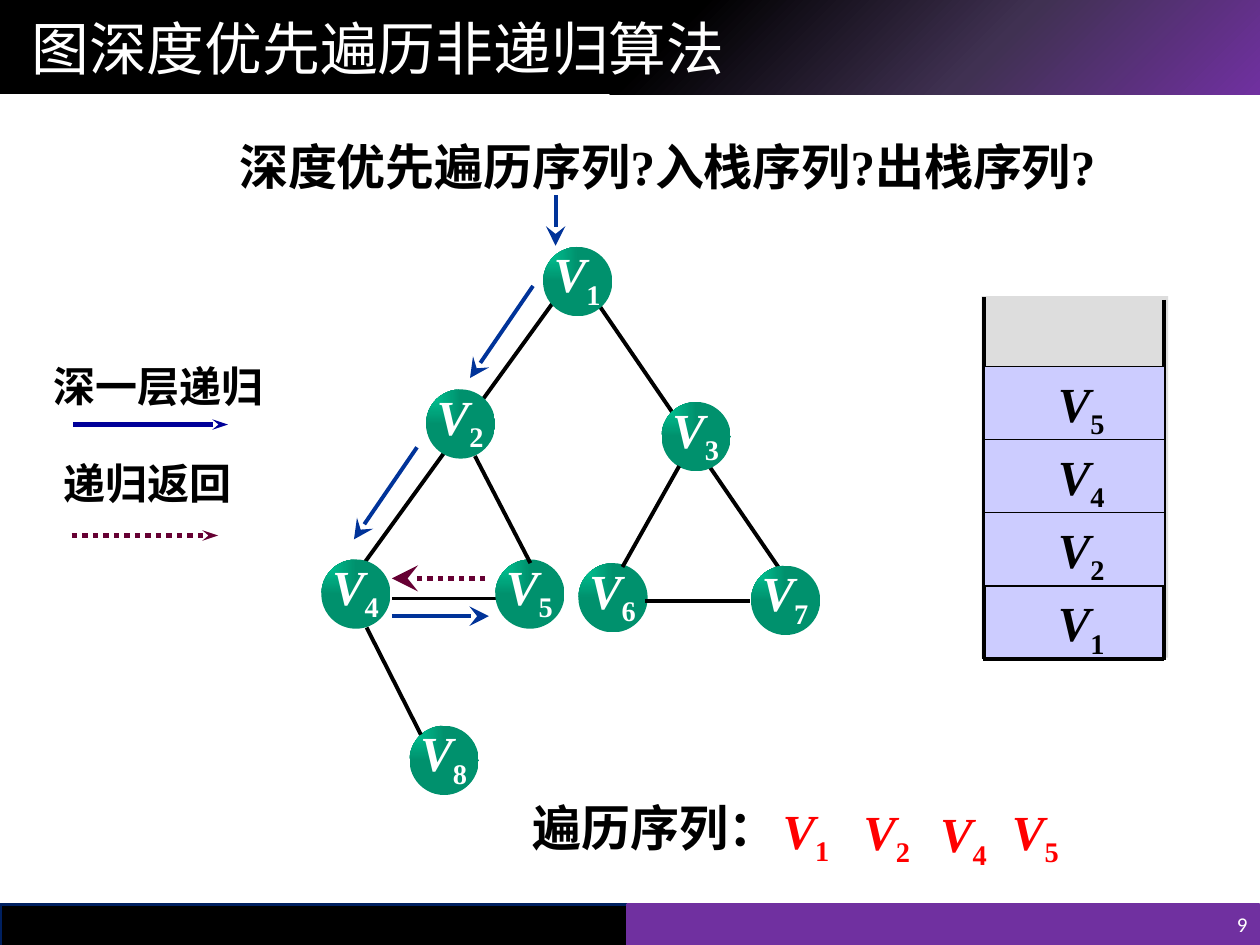
from lxml import etree
from pptx import Presentation
from pptx.dml.color import RGBColor
from pptx.enum.dml import MSO_LINE
from pptx.enum.shapes import MSO_CONNECTOR, MSO_SHAPE
from pptx.enum.text import MSO_ANCHOR, PP_ALIGN
from pptx.oxml import parse_xml
from pptx.oxml.ns import qn
from pptx.util import Pt

RECTANGLE, OVAL = MSO_SHAPE.RECTANGLE, MSO_SHAPE.OVAL
STRAIGHT = MSO_CONNECTOR.STRAIGHT
DOTTED = MSO_LINE.ROUND_DOT
TOP, MIDDLE = MSO_ANCHOR.TOP, MSO_ANCHOR.MIDDLE
LEFT, RIGHT = PP_ALIGN.LEFT, PP_ALIGN.RIGHT
SERIF = "Times New Roman"
color = RGBColor.from_string


def write(box, text, size, hue, name=SERIF, bold=True, subscript="",
          insets=(7.2, 3.6, 7.2, 3.6), anchor=TOP, align=LEFT):
    frame = box.text_frame
    frame.word_wrap = True
    frame.vertical_anchor = anchor
    frame.margin_left, frame.margin_top, frame.margin_right, frame.margin_bottom = map(Pt, insets)
    para = frame.paragraphs[0]
    para.alignment = align
    para.font.size = Pt(size)
    para.font.name = name
    para.font.bold = bold
    para.font.color.rgb = color(hue)
    span = para.add_run()
    span.text = text
    if subscript:
        span.font.italic = True
        index = para.add_run()
        index.text = subscript
        index._r.get_or_add_rPr().set("baseline", "-25000")


def draw_line(points, hue="000000", width=2.25, head=None, dash=None):
    link = page.shapes.add_connector(STRAIGHT, *map(Pt, points))
    link.line.color.rgb = color(hue)
    link.line.width = Pt(width)
    if dash:
        link.line.dash_style = dash
    if head:
        tail = etree.SubElement(link.line._get_or_add_ln(), qn("a:tailEnd"))
        tail.set("type", "stealth")
        tail.set("w", head[0])
        tail.set("len", head[1])
    etree.SubElement(link._element.spPr, qn("a:effectLst"))


deck = Presentation()
deck.slide_width, deck.slide_height = Pt(720), Pt(540)
page = deck.slides.add_slide(deck.slide_layouts[5])
gradients = []

banner = page.shapes.add_shape(RECTANGLE, 0, 0, Pt(720), Pt(54))
banner.shadow.inherit = False
banner.line.fill.background()
banner_stops = [(0, "7030A0", 100), (23, "403152", 100), (48, "000000", 100), (97, "000000", 100)]
gradients.append((banner, banner_stops, "circle", 'l="100000" t="100000"'))

for left, fill, edge in [(0, "000000", "002060"), (358.6, "7030A0", "7030A0")]:
    footer = page.shapes.add_shape(RECTANGLE, Pt(left), Pt(517), Pt(360.7), Pt(23.8))
    footer.shadow.inherit = False
    footer.fill.solid()
    footer.fill.fore_color.rgb = color(fill)
    footer.line.color.rgb = color(edge)
    footer.line.width = Pt(2)

title = page.shapes.title
title.left, title.top, title.width, title.height = 0, 0, Pt(702), Pt(54)
write(title, "图深度优先遍历非递归算法", 33, "FFFFFF", "Calibri", False,
      insets=(18, 3.6, 7.2, 3.6), anchor=MIDDLE)
page.shapes._spTree.append(title._element)

number = page.shapes.add_textbox(Pt(630), Pt(516.2), Pt(90), Pt(23.8))
write(number, "9", 12, "FFFFFF", "Calibri", False, anchor=MIDDLE, align=RIGHT)

back_edges = [(283.7, 342, 223.9, 342), (342.7, 175, 445.7, 325.4), (316.1, 172.8, 208.1, 321.8)]
for points in back_edges:
    draw_line(points)

draw_line((41.8, 242.6, 130.3, 242.6), "000099", 3, ("sm", "med"))
draw_line((41, 306, 124.6, 306), "660033", 3, ("sm", "med"), DOTTED)

tight = (1.5, 0.7, 1.5, 0.7)
captions = [
    ("深一层递归", 28.8, 205.2, 126, 39, 24, SERIF, tight),
    ("递归返回", 34.6, 260.6, 120, 38, 24, SERIF, tight),
    ("深度优先遍历序列?入栈序列?出栈序列?", 129.6, 74.2, 540, 41, 28, SERIF, (7.2, 3.6, 0, 3.6)),
    ("遍历序列：", 297.4, 452.2, 171.4, 41, 28, "Arial", (7.2, 3.6, 7.2, 3.6)),
]
for text, left, top, width, height, size, name, insets in captions:
    caption = page.shapes.add_textbox(Pt(left), Pt(top), Pt(width), Pt(height))
    write(caption, text, size, "000000", name, insets=insets)

nodes = {
    "1": (310.3, 141.1), "3": (378, 229.7), "2": (243.4, 222.5), "4": (183.6, 319.7),
    "5": (283, 319.7), "6": (330.5, 321.8), "7": (429.1, 323.3), "8": (234, 414.7),
}
node_stops = [(0, "00CC99", 100), (100, "00CC99", 46.28)]
for index, (left, top) in nodes.items():
    node = page.shapes.add_group_shape()
    disc = node.shapes.add_shape(OVAL, Pt(left), Pt(top), Pt(39.6), Pt(39.6))
    disc.shadow.inherit = False
    disc.line.fill.background()
    gradients.append((disc, node_stops, "rect", 'r="100000" b="100000"'))
    label = node.shapes.add_textbox(Pt(left + 5.4), Pt(top - 3.9), Pt(36.7), Pt(46.8))
    write(label, "V", 28, "FFFFFF", subscript=index, insets=(0.7, 2.2, 0, 0.7))

for shape, stops, kind, focus in gradients:
    stop_xml = "".join(
        f'<a:gs pos="{place * 1000}"><a:srgbClr val="{hue}">'
        + (f'<a:shade val="{int(shade * 1000)}"/>' if shade < 100 else "")
        + "</a:srgbClr></a:gs>"
        for place, hue, shade in stops)
    shape._element.spPr.find(qn("a:prstGeom")).addnext(parse_xml(
        '<a:gradFill xmlns:a="http://schemas.openxmlformats.org/drawingml/2006/main" rotWithShape="1">'
        f'<a:gsLst>{stop_xml}</a:gsLst>'
        f'<a:path path="{kind}"><a:fillToRect {focus}/></a:path></a:gradFill>'))

front_edges = [(271.4, 260.6, 303.1, 321.8), (388.1, 266.4, 355.7, 324),
               (428.4, 343.4, 368.6, 343.4), (209.5, 358.6, 240.5, 419.8)]
for points in front_edges:
    draw_line(points)

stack = page.shapes.add_shape(RECTANGLE, Pt(560.9), Pt(169.2), Pt(106.6), Pt(206.6))
stack.shadow.inherit = False
stack.fill.solid()
stack.fill.fore_color.rgb = color("DDDDDD")
stack.line.fill.background()

stack_walls = [(562.3, 169.9, 562.3, 376.6), (665.3, 171.4, 665.3, 377.3),
               (561.6, 376.6, 665.3, 376.6)]
for level, index in enumerate("1245"):
    cell = page.shapes.add_shape(RECTANGLE, Pt(562.3), Pt(334.8 - 41.8 * level), Pt(103), Pt(41.8))
    cell.shadow.inherit = False
    cell.fill.solid()
    cell.fill.fore_color.rgb = color("CCCCFF")
    cell.line.color.rgb = color("000000")
    cell.line.width = Pt(0.75)
    write(cell, "V", 28, "000000", subscript=index, insets=(42.2, 4, 7.2, 3.6))
    if level == 0:
        for points in stack_walls:
            draw_line(points)

visited = {"1": (445.7, 456.5), "2": (491.8, 457.2), "4": (535.7, 458.6), "5": (576.7, 457.2)}
for index, (left, top) in visited.items():
    label = page.shapes.add_textbox(Pt(left), Pt(top), Pt(44.6), Pt(35.3))
    write(label, "V", 28, "FF0000", subscript=index, insets=tight)

descents = [(317.5, 111.6, 317.5, 140.4), (304.6, 163.4, 268.6, 216),
            (238.3, 255.6, 202.3, 308.2), (223.9, 352.1, 279.4, 352.1)]
for points in descents:
    draw_line(points, "003399", head=("lg", "lg"))
draw_line((277.2, 330.5, 223.9, 330.5), "660033", 3, ("lg", "lg"), DOTTED)

deck.save("out.pptx")
